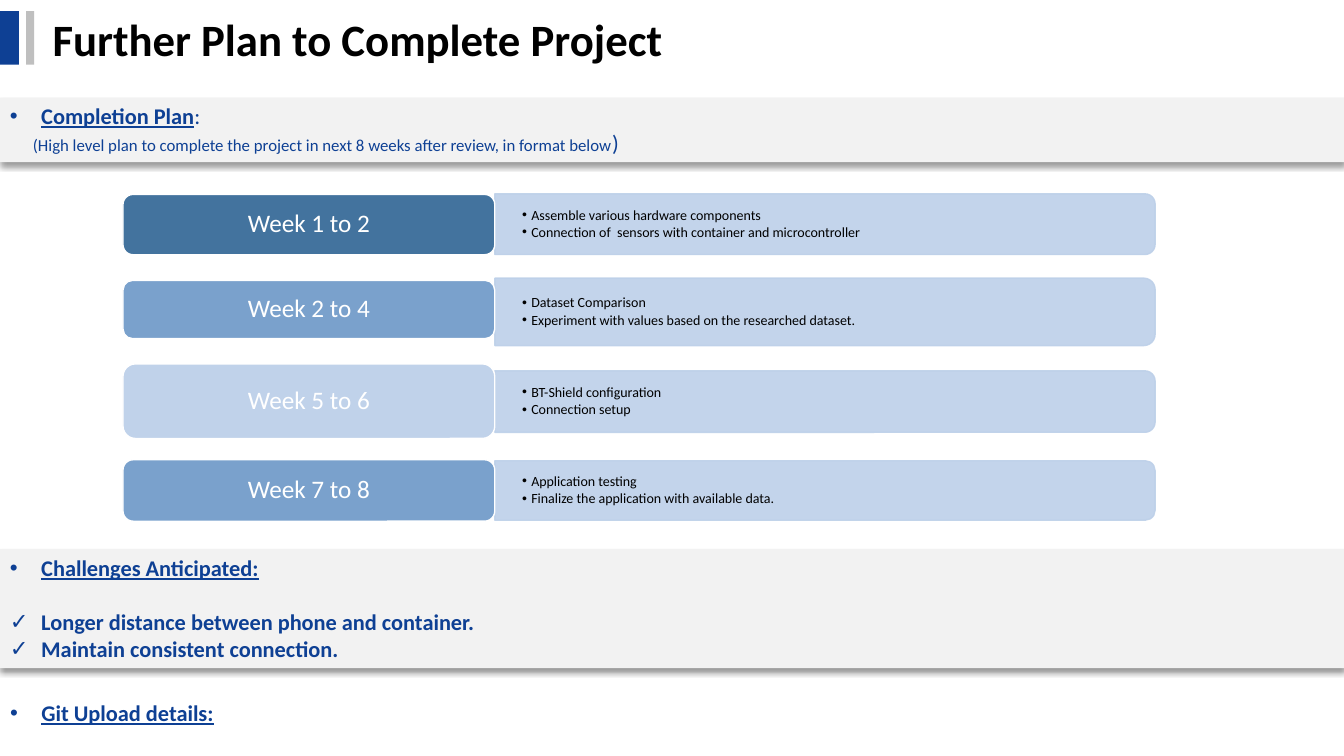
"""Build the project completion plan slide."""
from dataclasses import dataclass

from lxml import etree
from pptx import Presentation
from pptx.dml.color import RGBColor
from pptx.enum.shapes import MSO_SHAPE
from pptx.enum.text import MSO_ANCHOR, MSO_AUTO_SIZE, PP_ALIGN
from pptx.oxml.ns import qn
from pptx.util import Cm, Pt

RECTANGLE = MSO_SHAPE.RECTANGLE
ROUNDED = MSO_SHAPE.ROUNDED_RECTANGLE
ROUNDED_END = MSO_SHAPE.ROUND_2_SAME_RECTANGLE
TOP, MIDDLE = MSO_ANCHOR.TOP, MSO_ANCHOR.MIDDLE
LEFT, CENTER, JUSTIFY = PP_ALIGN.LEFT, PP_ALIGN.CENTER, PP_ALIGN.JUSTIFY
NO_AUTOFIT = MSO_AUTO_SIZE.NONE


@dataclass(frozen=True)
class Theme:
    font: str = "Calibri"
    navy: str = "0E4094"
    silver: str = "BFBFBF"
    band: str = "F2F2F2"
    panel: str = "BDD0E9"
    steel: str = "43739E"
    sky: str = "7AA1CC"
    pale: str = "C0D2EA"
    white: str = "FFFFFF"
    black: str = "000000"
    title: int = 32
    label: int = 18
    heading: int = 16
    note: int = 12
    detail: int = 10


THEME = Theme()


def format_runs(paragraph, size, color, bold=False, underline=False):
    for run in paragraph.runs:
        run.font.name = THEME.font
        run.font.size = Pt(size)
        run.font.color.rgb = RGBColor.from_string(color)
        run.font.bold = bold
        run.font.underline = underline


def set_bullet(paragraph, character, indent):
    properties = paragraph._p.get_or_add_pPr()
    properties.set("marL", str(indent))
    properties.set("indent", str(-indent))
    etree.SubElement(properties, qn("a:buFont")).set("typeface", "Arial")
    etree.SubElement(properties, qn("a:buChar")).set("char", character)


presentation = Presentation()
presentation.slide_width = Cm(33.87)
presentation.slide_height = Cm(19.05)
slide = presentation.slides.add_slide(presentation.slide_layouts[1])
title, git_details = slide.placeholders

for left, width, color in ((0, 0.48, THEME.navy), (0.66, 0.2, THEME.silver)):
    bar = slide.shapes.add_shape(RECTANGLE, Cm(left), Cm(0.28), Cm(width), Cm(1.35))
    bar.shadow.inherit = False
    bar.fill.solid()
    bar.fill.fore_color.rgb = RGBColor.from_string(color)
    bar.line.fill.background()

title.left, title.top, title.width, title.height = Cm(1.07), Cm(0.15), Cm(26.11), Cm(1.63)
title.text_frame.text = "Further Plan to Complete Project"
title.text_frame.auto_size = NO_AUTOFIT
title.text_frame.vertical_anchor = MIDDLE
title.text_frame.paragraphs[0].alignment = LEFT
format_runs(title.text_frame.paragraphs[0], THEME.title, THEME.black, bold=True)

bands = []
for top, height in ((2.46, 1.63), (13.84, 3)):
    band = slide.shapes.add_shape(RECTANGLE, 0, Cm(top), presentation.slide_width, Cm(height))
    band.shadow.inherit = False
    band.fill.solid()
    band.fill.fore_color.rgb = RGBColor.from_string(THEME.band)
    band.line.fill.background()
    effects = band._element.spPr.find(qn("a:effectLst"))
    shadow = etree.SubElement(effects, qn("a:outerShdw"), blurRad=str(Pt(4)),
                              dist=str(Pt(3)), dir="5400000", algn="t", rotWithShape="0")
    shadow_color = etree.SubElement(shadow, qn("a:srgbClr"), val=THEME.black)
    etree.SubElement(shadow_color, qn("a:alpha"), val="40000")
    band.text_frame.word_wrap = True
    band.text_frame.vertical_anchor = TOP
    bands.append(band)
plan, challenges = bands

plan.text_frame.text = "Completion Plan"
heading = plan.text_frame.paragraphs[0]
format_runs(heading, THEME.heading, THEME.navy, bold=True, underline=True)
colon = heading.add_run()
colon.text = ":"
colon.font.name = THEME.font
colon.font.size = Pt(THEME.heading)
colon.font.color.rgb = RGBColor.from_string(THEME.navy)
heading.alignment = JUSTIFY
set_bullet(heading, "•", Cm(0.79))

note = plan.text_frame.add_paragraph()
for text in ("(High level plan to complete the project in next 8 weeks after review, in format below", ")"):
    note.add_run().text = text
format_runs(note, THEME.note, THEME.navy)
note.runs[-1].font.size = Pt(THEME.heading)
note.alignment = JUSTIFY
note._p.get_or_add_pPr().set("indent", str(Cm(0.58)))

label_left, label_width, panel_length = 3.1, 9.37, 16.64
panel_left = label_left + label_width
weeks = (
    ("Week 1 to 2", THEME.steel, 5.66, 1.52, 5.65, 1.53,
     ("Assemble various hardware components",
      "Connection of  sensors with container and microcontroller")),
    ("Week 2 to 4", THEME.sky, 7.8, 1.47, 7.86, 1.7,
     ("Dataset Comparison", "Experiment with values based on the researched dataset.")),
    ("Week 5 to 6", THEME.pale, 10.11, 1.88, 10.12, 1.55,
     ("BT-Shield configuration", "Connection setup")),
    ("Week 7 to 8", THEME.sky, 12.36, 1.55, 12.36, 1.5,
     ("Application testing", "Finalize the application with available data.")),
)
for name, color, label_middle, label_height, panel_middle, panel_height, tasks in weeks:
    panel = slide.shapes.add_shape(
        ROUNDED_END, Cm(panel_left + (panel_length - panel_height) / 2),
        Cm(panel_middle - panel_length / 2), Cm(panel_height), Cm(panel_length))
    panel.rotation = 90
    label = slide.shapes.add_shape(
        ROUNDED, Cm(label_left), Cm(label_middle - label_height / 2),
        Cm(label_width), Cm(label_height))
    for shape, fill, outline in ((panel, THEME.panel, THEME.panel), (label, color, THEME.white)):
        shape.shadow.inherit = False
        shape.fill.solid()
        shape.fill.fore_color.rgb = RGBColor.from_string(fill)
        shape.line.color.rgb = RGBColor.from_string(outline)
        shape.line.width = Pt(1)
    for panel_color in panel._element.spPr.iter(qn("a:srgbClr")):
        etree.SubElement(panel_color, qn("a:alpha"), val="90000")

    label.text_frame.text = name
    label.text_frame.vertical_anchor = MIDDLE
    label.text_frame.paragraphs[0].alignment = CENTER
    label.text_frame.paragraphs[0].line_spacing = 0.9
    format_runs(label.text_frame.paragraphs[0], THEME.label, THEME.white)

    details = slide.shapes.add_textbox(
        Cm(panel_left), Cm(panel_middle - panel_height / 2), Cm(panel_length), Cm(panel_height))
    frame = details.text_frame
    frame.word_wrap = True
    frame.vertical_anchor = MIDDLE
    frame.margin_left = frame.margin_right = Cm(0.69)
    frame.margin_top = frame.margin_bottom = Cm(0.2)
    frame.text = "\n".join(tasks)
    for paragraph in frame.paragraphs:
        format_runs(paragraph, THEME.detail, THEME.black)
        set_bullet(paragraph, "•", Cm(0.23))
        paragraph.line_spacing = 0.9
        paragraph.space_after = Pt(1.5)

git_details.left, git_details.top = 0, Cm(17.5)
git_details.width, git_details.height = Cm(16.94), Cm(1.45)
git_details.text_frame.auto_size = NO_AUTOFIT
git_details.text_frame.text = "Git Upload details:"
challenges.text_frame.text = "\n".join((
    "Challenges Anticipated:",
    "Longer distance between phone and container.",
    "Maintain consistent connection.",
))
for shape in (challenges, git_details):
    for index, paragraph in enumerate(shape.text_frame.paragraphs):
        is_heading = index == 0
        format_runs(paragraph, THEME.heading, THEME.navy, bold=True, underline=is_heading)
        set_bullet(paragraph, "•" if is_heading else "✓", Cm(0.79))
        paragraph.alignment = JUSTIFY
        paragraph.space_before = Pt(0)
challenges.text_frame.paragraphs[0].space_after = Pt(19.5)

presentation.save("out.pptx")
